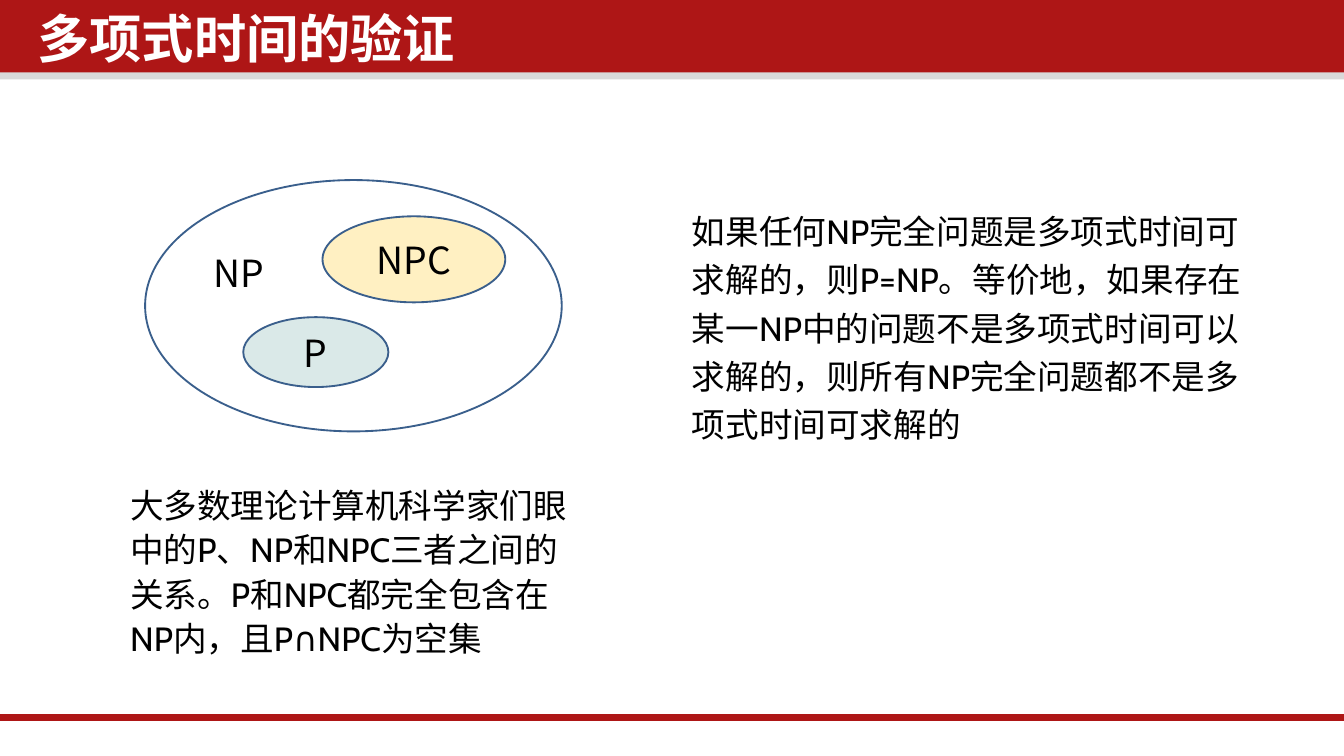
from dataclasses import dataclass
from typing import Optional

from lxml.etree import SubElement
from pptx import Presentation
from pptx.dml.color import RGBColor
from pptx.enum.shapes import MSO_CONNECTOR, MSO_SHAPE
from pptx.enum.text import MSO_ANCHOR, PP_ALIGN
from pptx.oxml.ns import qn
from pptx.util import Inches, Pt

SLIDE_WIDTH = Inches(10)
SLIDE_HEIGHT = SLIDE_WIDTH * 9 // 16

RED = RGBColor(0xAE, 0x16, 0x16)
GREY = RGBColor(0xD9, 0xD9, 0xD9)
BLUE = RGBColor(0x3A, 0x5F, 0x8C)
YELLOW = RGBColor(0xFF, 0xF0, 0xC2)
TEAL = RGBColor(0xDA, 0xE9, 0xE8)
WHITE = RGBColor(0xFF, 0xFF, 0xFF)
BLACK = RGBColor(0, 0, 0)
CJK_FONT = "Noto Sans CJK SC"
BODY_FONT = "Cabin"

Box = tuple[float, float, float, float]


@dataclass
class ProblemClass:
    box: Box
    fill: Optional[RGBColor] = None
    label: str = ""


@dataclass
class Caption:
    box: Box
    text: str
    size: int = 18
    font: str = BODY_FONT
    color: RGBColor = BLACK
    bold: bool = False
    line_spacing: float = 1.0
    space_before: float = 0
    margins: tuple[float, float] = (0.1, 0.05)
    wrap: bool = True


BANDS = [((0, 0.5, 10, 0.09), GREY), ((0, 0, 10, 0.54), RED)]

PROBLEM_CLASSES = [
    ProblemClass((1.08, 1.34, 3.1, 1.87)),
    ProblemClass((2.4, 1.61, 1.36, 0.64), YELLOW, "NPC"),
    ProblemClass((1.81, 2.36, 1.08, 0.52), TEAL, "P"),
]

CAPTIONS = [
    Caption((0.21, 0.06, 7.64, 0.59), "多项式时间的验证", 28, CJK_FONT, WHITE,
            bold=True, line_spacing=0.9, space_before=7.5, margins=(0.07, 0.04)),
    Caption((1.49, 1.81, 0.6, 0.44), "NP", 20, CJK_FONT, wrap=False),
    Caption((0.87, 3.53, 3.52, 1.43),
            "大多数理论计算机科学家们眼中的P、NP和NPC三者之间的关系。"
            "P和NPC都完全包含在NP内，且P∩NPC为空集", line_spacing=1.1),
    Caption((5.05, 1.46, 4.32, 1.92),
            "如果任何NP完全问题是多项式时间可求解的，则P=NP。"
            "等价地，如果存在某一NP中的问题不是多项式时间可以求解的，"
            "则所有NP完全问题都不是多项式时间可求解的", line_spacing=1.2),
]


def style_font(paragraph, name: str, size: int, color: RGBColor, bold: bool = False) -> None:
    """Set the paragraph's font for both Latin and Chinese text."""
    font = paragraph.font
    font.name, font.size, font.bold = name, Pt(size), bold
    font.color.rgb = color
    SubElement(font._element, qn("a:ea")).set("typeface", CJK_FONT)


def add_filled_shape(slide, kind: MSO_SHAPE, box: Box, fill: Optional[RGBColor]):
    shape = slide.shapes.add_shape(kind, *map(Inches, box))
    shape.shadow.inherit = False
    if fill is None:
        shape.fill.background()
    else:
        shape.fill.solid()
        shape.fill.fore_color.rgb = fill
    return shape


def add_band(slide, box: Box, fill: RGBColor) -> None:
    add_filled_shape(slide, MSO_SHAPE.RECTANGLE, box, fill).line.fill.background()


def add_footer_rule(slide) -> None:
    rule = slide.shapes.add_connector(
        MSO_CONNECTOR.STRAIGHT, Inches(-0.02), Inches(5.34), SLIDE_WIDTH, Inches(5.34))
    rule.line.color.rgb = RED
    rule.line.width = Pt(4)
    SubElement(rule._element.spPr, qn("a:effectLst"))


def add_problem_class(slide, problem_class: ProblemClass) -> None:
    oval = add_filled_shape(slide, MSO_SHAPE.OVAL, problem_class.box, problem_class.fill)
    oval.line.color.rgb = BLUE
    oval.line.width = Pt(1)
    if problem_class.label:
        oval.text_frame.vertical_anchor = MSO_ANCHOR.MIDDLE
        label = oval.text_frame.paragraphs[0]
        label.text = problem_class.label
        label.alignment = PP_ALIGN.CENTER
        style_font(label, CJK_FONT, 20, BLACK)


def add_caption(slide, caption: Caption) -> None:
    frame = slide.shapes.add_textbox(*map(Inches, caption.box)).text_frame
    frame.word_wrap = caption.wrap
    side, edge = map(Inches, caption.margins)
    frame.margin_left = frame.margin_right = side
    frame.margin_top = frame.margin_bottom = edge
    paragraph = frame.paragraphs[0]
    paragraph.text = caption.text
    paragraph.line_spacing = caption.line_spacing
    paragraph.space_before = Pt(caption.space_before)
    style_font(paragraph, caption.font, caption.size, caption.color, caption.bold)


def main() -> None:
    presentation = Presentation()
    presentation.slide_width, presentation.slide_height = SLIDE_WIDTH, SLIDE_HEIGHT
    slide = presentation.slides.add_slide(presentation.slide_layouts[6])
    for box, fill in BANDS:
        add_band(slide, box, fill)
    add_footer_rule(slide)
    for problem_class in PROBLEM_CLASSES:
        add_problem_class(slide, problem_class)
    for caption in CAPTIONS:
        add_caption(slide, caption)
    presentation.save("out.pptx")


if __name__ == "__main__":
    main()
